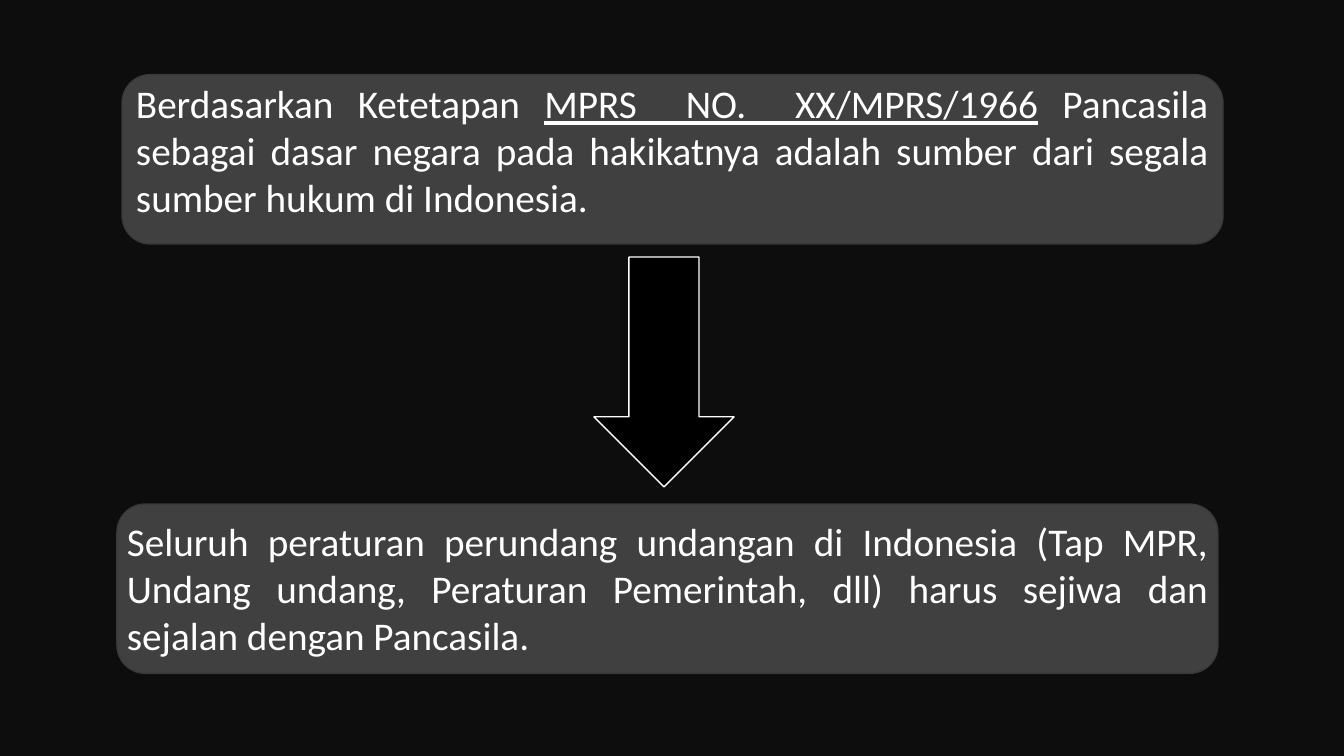
from typing import NamedTuple

from pptx import Presentation
from pptx.dml.color import RGBColor
from pptx.enum.shapes import MSO_SHAPE
from pptx.enum.text import MSO_AUTO_SIZE, PP_ALIGN
from pptx.util import Inches, Pt

ROUNDED = MSO_SHAPE.ROUNDED_RECTANGLE
DOWN_ARROW = MSO_SHAPE.DOWN_ARROW
FIT_SHAPE = MSO_AUTO_SIZE.SHAPE_TO_FIT_TEXT
JUSTIFY = PP_ALIGN.JUSTIFY

BACKGROUND, PANEL, PANEL_EDGE = "0D0D0D", "404040", "3B3838"
BLACK, WHITE = "000000", "FFFFFF"
TEXT_FORMAT = {"name": "Calibri", "size": Pt(28)}


class Area(NamedTuple):
    """Left, top, width and height in percent of the slide's size."""
    left: float
    top: float
    width: float
    height: float


class Run(NamedTuple):
    text: str
    underline: bool = False


class Statement(NamedTuple):
    panel: Area
    text_area: Area
    runs: list[Run]


STATEMENTS = [
    Statement(
        Area(9.08, 9.87, 81.92, 22.4),
        Area(9.38, 9.87, 81.25, 20.13),
        [Run("Berdasarkan Ketetapan "),
         Run("MPRS  NO.  XX/MPRS/1966", underline=True),
         Run(" Pancasila sebagai dasar negara pada hakikatnya adalah "
             "sumber dari segala sumber hukum di Indonesia. ")]),
    Statement(
        Area(8.7, 66.67, 81.92, 22.4),
        Area(8.7, 67.73, 81.92, 20.13),
        [Run("Seluruh peraturan perundang undangan di Indonesia (Tap MPR, "
             "Undang undang, Peraturan Pemerintah, dll) harus sejiwa dan "
             "sejalan dengan Pancasila.")]),
]
ARROW = Area(44.19, 34, 10.43, 30.4)

prs = Presentation()
prs.slide_width, prs.slide_height = Inches(13.33), Inches(7.5)
slide = prs.slides.add_slide(prs.slide_layouts[6])


def rgb(value: str) -> RGBColor:
    return RGBColor.from_string(value)


def place(area: Area) -> tuple[int, int, int, int]:
    """Turn an area into the EMU lengths that python-pptx takes."""
    sides = (prs.slide_width, prs.slide_height) * 2
    left, top, width, height = (
        round(side * share / 100) for side, share in zip(sides, area))
    return left, top, width, height


def draw_shape(kind: MSO_SHAPE, area: Area, fill: str, line: str) -> None:
    sp = slide.shapes.add_shape(kind, *place(area))
    sp.shadow.inherit = False
    sp.fill.solid()
    sp.fill.fore_color.rgb = rgb(fill)
    sp.line.color.rgb = rgb(line)
    sp.line.width = Pt(1)


def draw_statement(statement: Statement) -> None:
    draw_shape(ROUNDED, statement.panel, PANEL, PANEL_EDGE)
    tf = slide.shapes.add_textbox(*place(statement.text_area)).text_frame
    tf.word_wrap = True
    tf.auto_size = FIT_SHAPE
    p = tf.paragraphs[0]
    p.alignment = JUSTIFY
    for text, underline in statement.runs:
        r = p.add_run()
        r.text = text
        for name, value in (TEXT_FORMAT | {"underline": underline}).items():
            setattr(r.font, name, value)
        r.font.color.rgb = rgb(WHITE)


slide.background.fill.solid()
slide.background.fill.fore_color.rgb = rgb(BACKGROUND)
for statement in STATEMENTS:
    draw_statement(statement)
draw_shape(DOWN_ARROW, ARROW, BLACK, WHITE)
prs.save("out.pptx")
